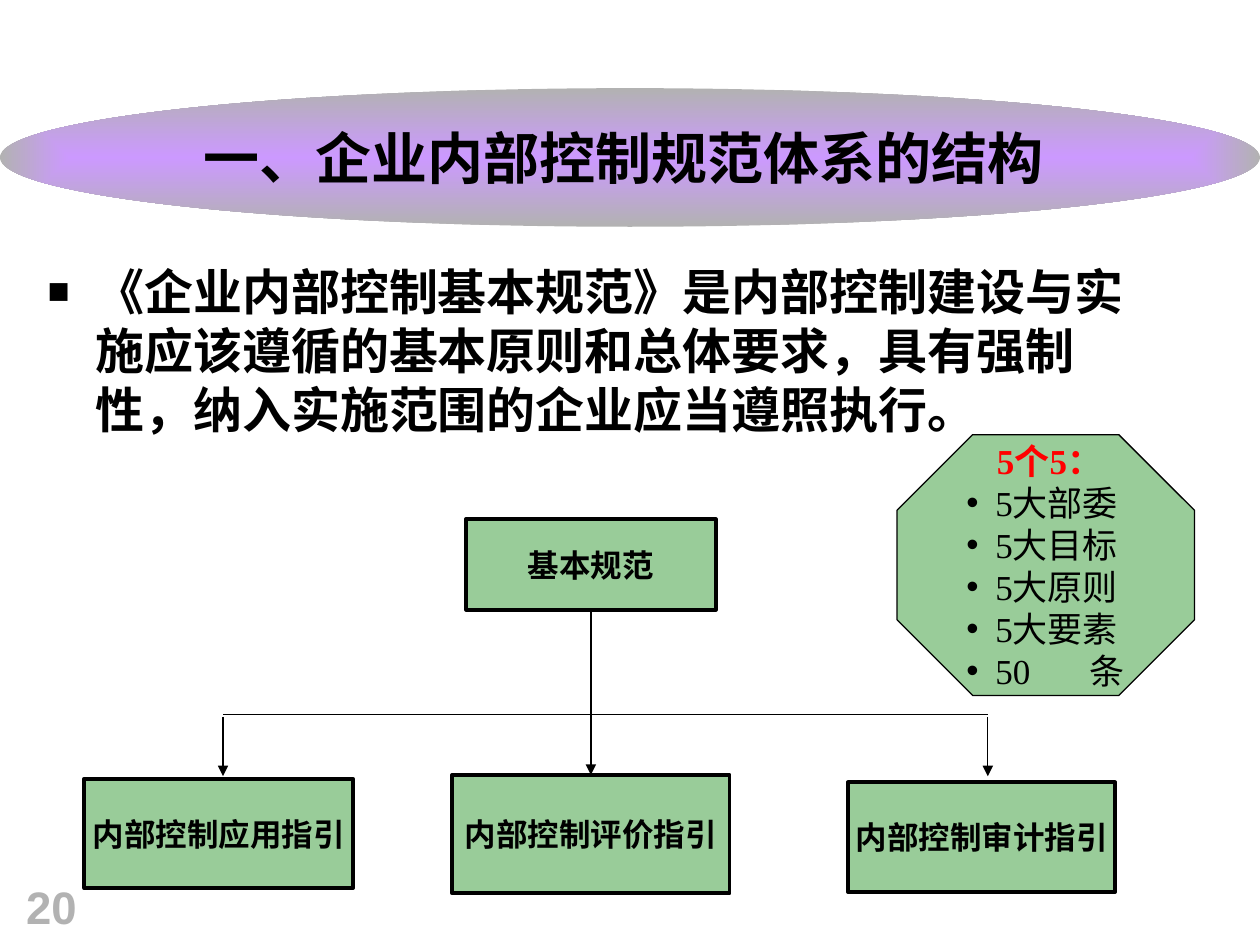
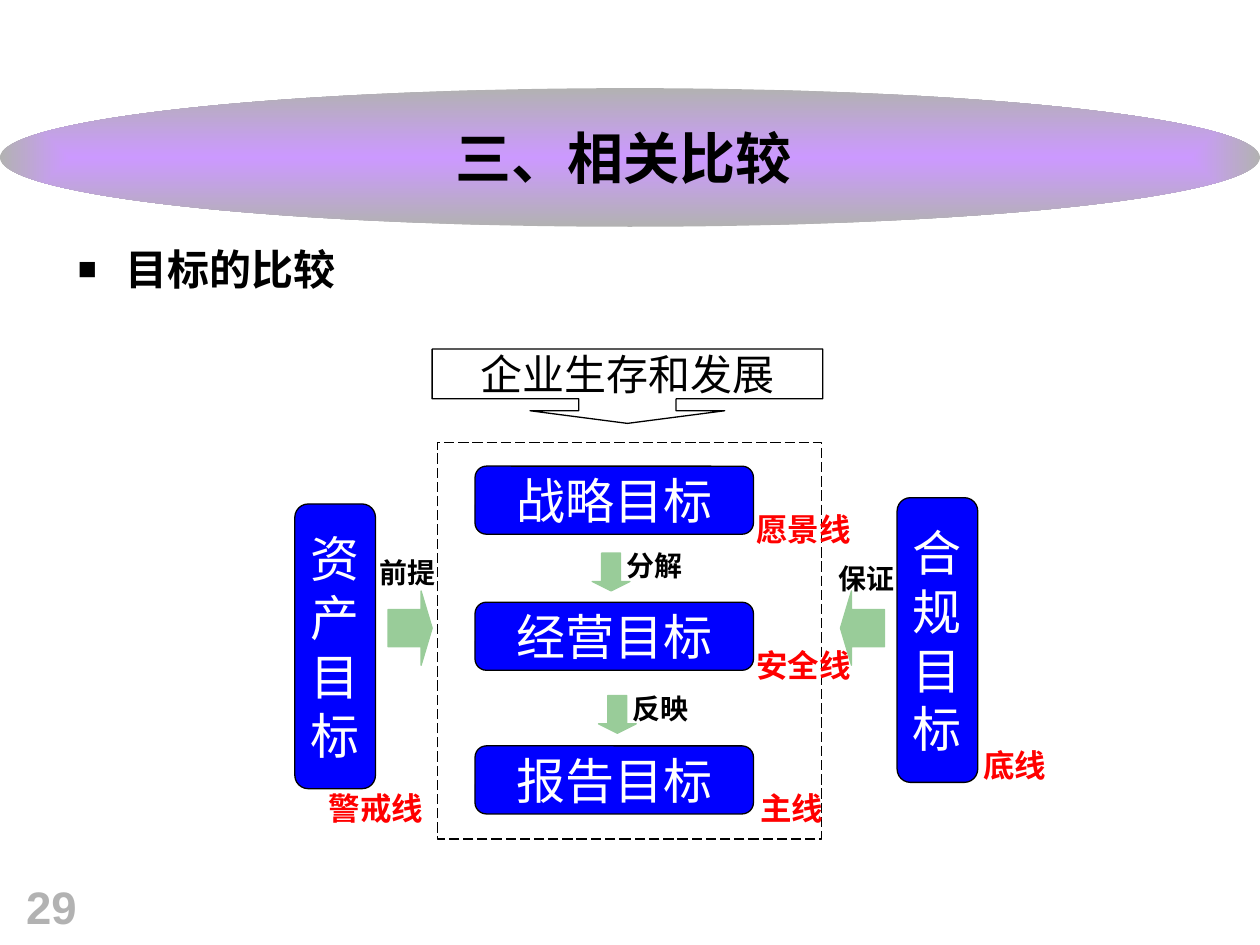
"""Build two slides on the structure and the goals of internal control."""
import lxml.etree
import pptx
import pptx.dml.color
import pptx.enum.dml
import pptx.enum.shapes
import pptx.enum.text
import pptx.oxml.ns
import pptx.util

RGB = pptx.dml.color.RGBColor
BLACK = RGB(0x00, 0x00, 0x00)
WHITE = RGB(0xFF, 0xFF, 0xFF)
RED = RGB(0xFF, 0x00, 0x00)
BLUE = RGB(0x00, 0x00, 0xFF)
GREEN = RGB(0x99, 0xCC, 0x99)
LILAC = RGB(0xCC, 0x99, 0xFF)
GRAY = RGB(0xB2, 0xB2, 0xB2)

KIND = pptx.enum.shapes.MSO_SHAPE
ALIGN = pptx.enum.text.PP_ALIGN
ANCHOR = pptx.enum.text.MSO_ANCHOR
SCALE = 9144
SANS, SERIF = "Arial", "Times New Roman"

TITLE = {"size": 32, "name": SERIF, "bold": True, "color": BLACK}
BODY = {"size": 28, "name": SANS, "bold": True, "color": BLACK}
GUIDE = {**BODY, "size": 18}
NUMBER = {"size": 26, "name": SANS, "bold": True, "color": GRAY}
FIVE = {"size": 20, "name": SERIF, "bold": False, "color": BLACK}
GOAL = {"size": 28, "name": SERIF, "color": WHITE}
AIM = {"size": 24, "name": SERIF, "color": BLACK}
STEP = {"size": 16, "name": SERIF, "bold": True, "color": BLACK}
MARK = {"size": 18, "name": SERIF, "bold": True, "color": RED}


def px(*sizes):
    return [pptx.util.Emu(size * SCALE) for size in sizes]


def add_node(parent, tag, **attrs):
    node = lxml.etree.SubElement(parent, pptx.oxml.ns.qn(tag))
    for key, value in attrs.items():
        node.set(key, str(value))
    return node


def style(font, form):
    for key, value in form.items():
        if key == "color":
            font.color.rgb = value
        else:
            setattr(font, key, pptx.util.Pt(value) if key == "size" else value)


def write(frame, lines, form, align=ALIGN.CENTER, anchor=ANCHOR.MIDDLE, wrap=False):
    frame.word_wrap = wrap
    frame.vertical_anchor = anchor
    for index, line in enumerate(lines):
        para = frame.add_paragraph() if index else frame.paragraphs[0]
        para.alignment = align
        run = para.add_run()
        run.text = line
        style(run.font, form)


def bullet(para, char, indent, size=100, tab=None):
    props = para._p.get_or_add_pPr()
    for key, value in {"marL": indent * SCALE, "indent": -indent * SCALE,
                       "hangingPunct": 0}.items():
        props.set(key, str(value))
    add_node(add_node(props, "a:buClr"), "a:srgbClr", val=BLACK)
    add_node(props, "a:buSzPct", val=size * 1000)
    add_node(props, "a:buFont", typeface=SANS)
    add_node(props, "a:buChar", char=char)
    if tab:
        add_node(add_node(props, "a:tabLst"), "a:tab", pos=tab * SCALE, algn="l")


def add_shape(slide, kind, place, fill=None, edge=BLACK, weight=0.75, bends=()):
    shape = slide.shapes.add_shape(kind, *px(*place))
    shape.shadow.inherit = False
    for index, bend in enumerate(bends):
        shape.adjustments[index] = bend
    if fill is None:
        shape.fill.background()
    else:
        shape.fill.solid()
        shape.fill.fore_color.rgb = fill
    if edge is None:
        shape.line.fill.background()
    else:
        shape.line.color.rgb = edge
        shape.line.width = pptx.util.Pt(weight)
    return shape


def add_text(slide, place, text, form, **layout):
    box = slide.shapes.add_textbox(*px(*place))
    write(box.text_frame, [text], form, **layout)
    return box


def add_line(slide, start, end, head=True):
    kind = pptx.enum.shapes.MSO_CONNECTOR.STRAIGHT
    line = slide.shapes.add_connector(kind, *px(*start, *end))
    line.line.color.rgb = BLACK
    line.line.width = pptx.util.Pt(0.75)
    props = line.element.spPr
    if head:
        add_node(props.find(pptx.oxml.ns.qn("a:ln")), "a:tailEnd", type="triangle")
    add_node(props, "a:effectLst")
    return line


def add_title(slide, text):
    oval = add_shape(slide, KIND.OVAL, (0, 70, 1000, 110), edge=None)
    oval.fill.gradient()
    for stop, color in zip(oval.fill.gradient_stops, (LILAC, GRAY)):
        stop.color.rgb = color
    grad = oval.element.spPr.find(pptx.oxml.ns.qn("a:gradFill"))
    grad.remove(grad.find(pptx.oxml.ns.qn("a:lin")))
    sides = dict.fromkeys("ltrb", 50000)
    add_node(add_node(grad, "a:path", path="rect"), "a:fillToRect", **sides)
    write(oval.text_frame, [text], TITLE)


def add_point(slide, place, text, form):
    box = add_text(slide, place, text, form, align=ALIGN.LEFT, anchor=ANCHOR.TOP, wrap=True)
    bullet(box.text_frame.paragraphs[0], "■", 38, size=75)


def add_number(slide, text):
    add_text(slide, (11, 692, 64, 54), text, NUMBER, align=ALIGN.LEFT,
             anchor=ANCHOR.BOTTOM, wrap=True)


def add_guide(slide, place, text):
    box = add_shape(slide, KIND.RECTANGLE, place, GREEN, weight=2.25)
    write(box.text_frame, [text], GUIDE)
    return box


def add_goal(slide, place, lines):
    box = add_shape(slide, KIND.FLOWCHART_ALTERNATE_PROCESS, place, BLUE)
    write(box.text_frame, lines, GOAL)


def add_arrow(slide, kind, place, turn=0):
    arrow = add_shape(slide, kind, place, GREEN, GREEN, bends=(0.5, 0.25))
    arrow.rotation = turn


def add_fives(slide):
    shape = add_shape(slide, KIND.OCTAGON, (712, 345, 236, 207), GREEN, bends=[0.29])
    frame = shape.text_frame
    frame.margin_left, frame.margin_right = px(25, 19)
    lines = ["5个5：", "5大部委", "5大目标", "5大原则", "5大要素", "50\t条"]
    write(frame, lines, FIVE, align=ALIGN.LEFT, wrap=True)
    head, *items = frame.paragraphs
    head.alignment = ALIGN.CENTER
    style(head.runs[0].font, {"bold": True, "color": RED})
    for item in items:
        bullet(item, "•", 23, tab=98)


def draw_system(slide):
    add_title(slide, "一、企业内部控制规范体系的结构 ")
    base = add_guide(slide, (370, 412, 198, 72), "基本规范")
    add_guide(slide, (673, 621, 212, 87), "内部控制审计指引")
    review = add_guide(slide, (359, 615, 220, 94), "内部控制评价指引")
    add_guide(slide, (67, 618, 213, 87), "内部控制应用指引")
    trunk = add_line(slide, (469, 484), (469, 615))
    trunk.begin_connect(base, 2)
    trunk.end_connect(review, 0)
    left, right = 177, 784
    add_line(slide, (left, 567), (right, 567), head=False)
    for x in (left, right):
        add_line(slide, (x, 569), (x, 616))
    add_fives(slide)
    add_point(slide, (28, 203, 903, 290),
              "《企业内部控制基本规范》是内部控制建设与实施应该遵循的基本原则和总体要求，"
              "具有强制性，纳入实施范围的企业应当遵照执行。", BODY)
    add_number(slide, "20")


def draw_goals(slide):
    for top, text in ((592, "报告目标"), (478, "经营目标"), (370, "战略目标")):
        add_goal(slide, (377, top, 221, 54), [text])
    for x, y in ((470, 439), (475, 552)):
        add_arrow(slide, KIND.DOWN_ARROW, (x, y, 30, 30))
    frame = add_shape(slide, KIND.RECTANGLE, (347, 351, 305, 315))
    frame.line.dash_style = pptx.enum.dml.MSO_LINE.LONG_DASH
    marks = ((578, 405, "愿景线"), (578, 513, "安全线"), (569, 626, "主线"),
             (239, 626, "警戒线"), (746, 592, "底线"))
    steps = ((465, 547, "反映"), (460, 434, "分解"), (628, 444, "保证"), (264, 439, "前提"))
    for labels, form in ((marks, MARK), (steps, STEP)):
        for x, y, text in labels:
            add_text(slide, (x, y, 119, 30), text, form)
    for x, y, text in ((234, 400, "资产目标"), (712, 395, "合规目标")):
        add_goal(slide, (x, y, 64, 226), text)
    for x, turn in ((308, 0), (667, 180)):
        add_arrow(slide, KIND.RIGHT_ARROW, (x, 469, 35, 59), turn)
    aim = add_shape(slide, KIND.DOWN_ARROW_CALLOUT, (343, 277, 310, 59),
                    bends=(1.31, 1.31, 0.17, 0.67))
    write(aim.text_frame, ["企业生存和发展"], AIM)
    add_title(slide, "三、相关比较 ")
    add_point(slide, (52, 188, 817, 59), "目标的比较", {**BODY, "size": 24})
    add_number(slide, "29")


def main():
    deck = pptx.Presentation()
    deck.slide_width, deck.slide_height = px(1000, 750)
    for draw in (draw_system, draw_goals):
        draw(deck.slides.add_slide(deck.slide_layouts[6]))
    deck.save("out.pptx")


if __name__ == "__main__":
    main()
